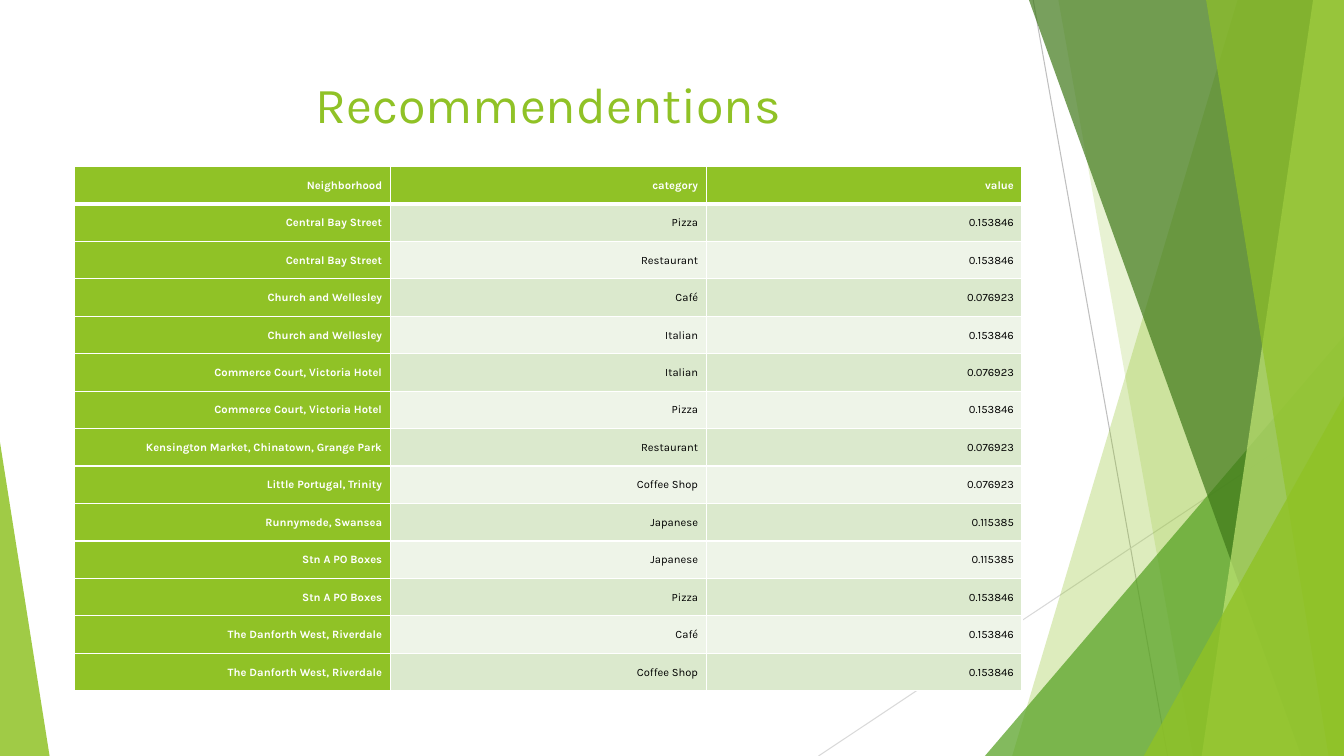
from lxml import etree
from pptx import Presentation
from pptx.dml.color import RGBColor
from pptx.enum.shapes import MSO_CONNECTOR, MSO_SHAPE
from pptx.enum.text import MSO_ANCHOR, PP_ALIGN
from pptx.oxml.ns import qn
from pptx.util import Pt

LINE = MSO_CONNECTOR.STRAIGHT
WEDGE = MSO_SHAPE.ISOSCELES_TRIANGLE
TOP, MIDDLE = MSO_ANCHOR.TOP, MSO_ANCHOR.MIDDLE
CENTER, RIGHT = PP_ALIGN.CENTER, PP_ALIGN.RIGHT
FONT = "Karla"
WIDE, HIGH = 960, 540
COLORS = {
    "lime": "90C226", "leaf": "54A021", "moss": "3F7819", "pale": "C0E474",
    "gray": "BFBFBF", "mist": "D9D9D9", "odd": "DBE9CD", "even": "EEF4E8",
    "white": "FFFFFF", "black": "000000",
}
ROWS = [
    ("Neighborhood", "category", "value"),
    ("Central Bay Street", "Pizza", "0.153846"),
    ("Central Bay Street", "Restaurant", "0.153846"),
    ("Church and Wellesley", "Café", "0.076923"),
    ("Church and Wellesley", "Italian", "0.153846"),
    ("Commerce Court, Victoria Hotel", "Italian", "0.076923"),
    ("Commerce Court, Victoria Hotel", "Pizza", "0.153846"),
    ("Kensington Market, Chinatown, Grange Park", "Restaurant", "0.076923"),
    ("Little Portugal, Trinity", "Coffee Shop", "0.076923"),
    ("Runnymede, Swansea", "Japanese", "0.115385"),
    ("Stn A PO Boxes", "Japanese", "0.115385"),
    ("Stn A PO Boxes", "Pizza", "0.153846"),
    ("The Danforth West, Riverdale", "Café", "0.153846"),
    ("The Danforth West, Riverdale", "Coffee Shop", "0.153846"),
]


def color(name):
    """Return the named color."""
    return RGBColor.from_string(COLORS[name])


def tint(shape, name, alpha):
    """Fill a shape with a color of the given opacity in percent."""
    shape.shadow.inherit = False
    shape.line.fill.background()
    shape.fill.solid()
    shape.fill.fore_color.rgb = color(name)
    tone = shape.fill._xPr.find(".//" + qn("a:srgbClr"))
    etree.SubElement(tone, qn("a:alpha"), val=str(alpha * 1000))


def add_line(shapes, start, end, name):
    """Draw a thin line between two points."""
    line = shapes.add_connector(LINE, *map(Pt, start + end))
    line.line.color.rgb = color(name)
    line.line.width = Pt(0.75)
    etree.SubElement(line._element.spPr, qn("a:effectLst"))


def add_blade(shapes, box, top, foot, name, alpha):
    """Draw a slanted blade from x top to x foot along the right edge."""
    left, y, width, height = box
    edge, base = left + width, y + height
    pen = shapes.build_freeform(Pt(left + top), Pt(y), scale=1.0)
    points = [(edge, y), (edge, base), (left + foot, base)]
    pen.add_line_segments([(Pt(px), Pt(py)) for px, py in points])
    tint(pen.convert_to_shape(), name, alpha)


def add_wedge(shapes, box, peak, name, alpha):
    """Draw a triangle whose peak is at the given share of its width."""
    wedge = shapes.add_shape(WEDGE, *map(Pt, box))
    wedge.adjustments[0] = peak
    tint(wedge, name, alpha)


def add_decor(slide, box):
    """Draw the green shards at both sides of the box."""
    left, top, width, height = box
    edge, base = left + width, top + height
    shapes = slide.shapes.add_group_shape().shapes
    add_line(shapes, (edge - 222, top), (edge - 126, base), "gray")
    add_line(shapes, (edge, top + 290), (edge - 375.3, base), "mist")

    def blade(head, foot, name, alpha):
        add_blade(shapes, box, width - head, width - foot, name, alpha)

    def wedge(wide, high, name, alpha):
        area = (edge - wide, base - high, wide, high)
        add_wedge(shapes, area, 1, name, alpha)

    blade(76, 237, "lime", 30)
    blade(204, 108, "lime", 20)
    wedge(256.5, 300, "leaf", 72)
    blade(225, 30.5, "moss", 70)
    blade(22, 101.6, "pale", 70)
    blade(98.5, 11, "lime", 65)
    wedge(143, 257, "lime", 80)
    add_wedge(shapes, (left, base - 224, 35.4, 224), 0, "lime", 85)


def add_title(slide, box, text):
    """Set the title in its placeholder, above the decor."""
    title = slide.shapes.title
    title.left, title.top, title.width, title.height = map(Pt, box)
    title._element.getparent().append(title._element)
    title.text_frame.text = text
    title.text_frame.vertical_anchor = TOP
    para = title.text_frame.paragraphs[0]
    para.alignment = CENTER
    para.font.name = FONT
    para.font.size = Pt(36)
    para.font.color.rgb = color("lime")


def add_rules(cell, row):
    """Draw white cell borders, thick below the header row."""
    props = cell._tc.get_or_add_tcPr()
    for side in "LRTB":
        thick = (side, row) in (("B", 0), ("T", 1))
        rule = etree.SubElement(
            props, qn("a:ln" + side), w=str(Pt(3 if thick else 1)))
        fill = etree.SubElement(rule, qn("a:solidFill"))
        etree.SubElement(fill, qn("a:srgbClr"), val=COLORS["white"])


def set_cell(cell, text, row, col):
    """Fill and format one cell by its row and column."""
    head = row == 0 or col == 0
    add_rules(cell, row)
    cell.fill.solid()
    cell.fill.fore_color.rgb = color(
        "lime" if head else "odd" if row % 2 else "even")
    cell.margin_left = cell.margin_right = Pt(5.76)
    cell.margin_top = cell.margin_bottom = Pt(5.76)
    cell.vertical_anchor = MIDDLE
    cell.text = text
    para = cell.text_frame.paragraphs[0]
    para.alignment = RIGHT
    para.line_spacing = 1.07
    para.space_before = Pt(12)
    para.font.name = FONT
    para.font.size = Pt(8)
    para.font.bold = head
    para.font.color.rgb = color("white" if head else "black")


def add_grid(slide, box, rows):
    """Build the table with equal rows and columns in the box."""
    count, span = len(rows), len(rows[0])
    table = slide.shapes.add_table(count, span, *map(Pt, box)).table
    for col in table.columns:
        col.width = Pt(box[2] / span)
    for r, row in enumerate(rows):
        table.rows[r].height = Pt(box[3] / count)
        for c, text in enumerate(row):
            set_cell(table.cell(r, c), text, r, c)


def main():
    """Build and save the slide."""
    deck = Presentation()
    deck.slide_width, deck.slide_height = Pt(WIDE), Pt(HIGH)
    slide = deck.slides.add_slide(deck.slide_layouts[5])
    add_decor(slide, (0, 0, WIDE, HIGH))
    add_title(slide, (53.3, 48.3, 676.8, 70.5), "Recommendentions")
    add_grid(slide, (53.3, 118.8, 676.8, 375), ROWS)
    deck.save("out.pptx")


if __name__ == "__main__":
    main()
